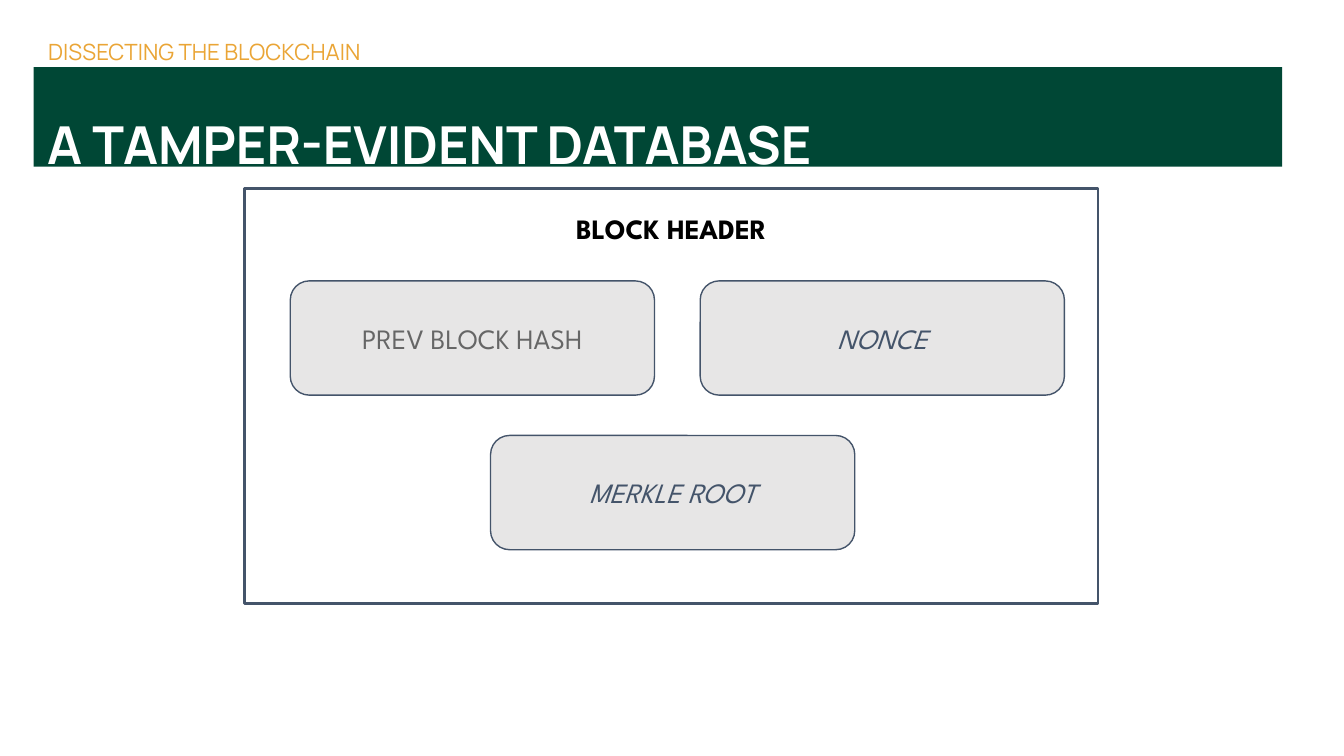
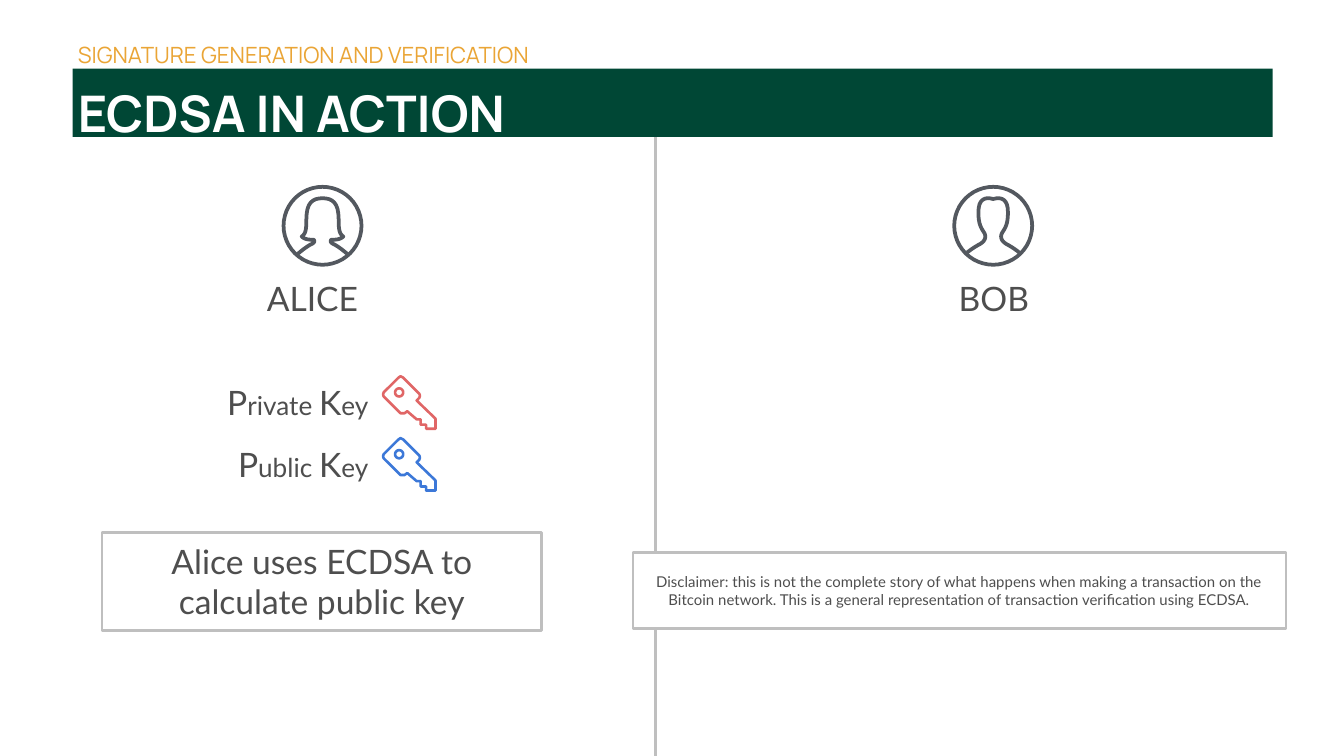
import math

import pptx
import pptx.dml.color
import pptx.enum.shapes
import pptx.enum.text
import pptx.oxml
import pptx.oxml.ns
import pptx.util

Inches = pptx.util.Inches
Pt = pptx.util.Pt
RGB = pptx.dml.color.RGBColor.from_string
SHAPE = pptx.enum.shapes.MSO_SHAPE
ANCHOR = pptx.enum.text.MSO_ANCHOR
ALIGN = pptx.enum.text.PP_ALIGN

THEME = {
    "green": "004735", "gold": "EAA536", "white": "FFFFFF", "black": "000000",
    "slate": "44546A", "panel": "E7E6E6", "muted": "666666", "text": "4E4E4E",
    "rule": "BFBFBF", "avatar": "53585F", "private": "E06666", "public": "3C78D8",
    "head": "Manrope", "block": "League Spartan", "body": "Lato",
    "eyebrow_size": 12, "block_size": 15, "large": 18, "medium": 14, "small": 8,
}


def write(sp, runs, font, color, align=ALIGN.LEFT, anchor=ANCHOR.TOP,
          inset=(0.1, 0.1), spacing=None, bold=False, italic=False):
    tf = sp.text_frame
    tf.word_wrap = True
    tf.auto_size = pptx.enum.text.MSO_AUTO_SIZE.NONE
    tf.vertical_anchor = anchor
    tf.margin_left = tf.margin_right = Inches(inset[0])
    tf.margin_top = tf.margin_bottom = Inches(inset[1])
    p = tf.paragraphs[0]
    p.alignment = align
    p.space_before = Pt(0)
    if spacing:
        p.line_spacing = spacing
    for text, size in runs:
        r = p.add_run()
        r.text = text
        r.font.name = font
        r.font.size = Pt(size)
        r.font.bold = bold
        r.font.italic = italic
        r.font.color.rgb = RGB(THEME[color])


def draw(sp, fill=None, line=None, width=1.5):
    sp.shadow.inherit = False
    if fill:
        sp.fill.solid()
        sp.fill.fore_color.rgb = RGB(THEME[fill])
    else:
        sp.fill.background()
    if line:
        sp.line.color.rgb = RGB(THEME[line])
        sp.line.width = Pt(width)
    else:
        sp.line.fill.background()


prs = pptx.Presentation()
prs.slide_width = Inches(10)
prs.slide_height = prs.slide_width * 9 // 16

headings = [
    {"title": "A TAMPER-EVIDENT DATABASE", "size": 28, "band": (0.25, 0.5, 9.29, 0.74),
     "spacing": 1.5, "eyebrow": "DISSECTING THE BLOCKCHAIN", "at": (0.26, 0.21, 9.29, 0.43),
     "eyebrow_spacing": 0.9, "inset": (0.1, 0.1), "anchor": ANCHOR.TOP},
    {"title": "ECDSA IN ACTION", "size": 27, "band": (0.54, 0.51, 8.93, 0.51),
     "spacing": 1.31, "eyebrow": "SIGNATURE GENERATION AND VERIFICATION",
     "at": (0.54, 0.2, 4.9, 0.41), "eyebrow_spacing": None, "inset": (0.04, 0.02),
     "anchor": ANCHOR.MIDDLE},
]
slides = []
for h in headings:
    s = prs.slides.add_slide(prs.slide_layouts[5])
    slides.append(s)
    sp = s.shapes.title
    sp.left, sp.top, sp.width, sp.height = map(Inches, h["band"])
    sp.fill.solid()
    sp.fill.fore_color.rgb = RGB(THEME["green"])
    write(sp, [(h["title"], h["size"])], THEME["head"], "white", anchor=h["anchor"],
          inset=h["inset"], spacing=h["spacing"], bold=True)
    sp = s.shapes.add_textbox(*map(Inches, h["at"]))
    write(sp, [(h["eyebrow"], THEME["eyebrow_size"])], THEME["head"], "gold",
          anchor=h["anchor"], inset=h["inset"], spacing=h["eyebrow_spacing"])

s = slides[0]
sp = s.shapes.add_shape(SHAPE.RECTANGLE, Inches(1.82), Inches(1.4), Inches(6.35), Inches(3.09))
draw(sp, line="slate")
write(sp, [("BLOCK HEADER", THEME["block_size"])], THEME["block"], "black", ALIGN.CENTER,
      inset=(0.04, 0.17), bold=True)

for text, left, top, color, italic in [
    ("PREV BLOCK HASH", 2.16, 2.09, "muted", False),
    ("NONCE", 5.21, 2.09, "slate", True),
    ("MERKLE ROOT", 3.65, 3.24, "slate", True),
]:
    sp = s.shapes.add_shape(SHAPE.ROUNDED_RECTANGLE, Inches(left), Inches(top),
                            Inches(2.71), Inches(0.85))
    draw(sp, "panel", "slate", 0.75)
    write(sp, [(text, THEME["block_size"])], THEME["block"], color, ALIGN.CENTER,
          ANCHOR.MIDDLE, (0.04, 0.04), italic=italic)

s = slides[1]
cx = s.shapes.add_connector(pptx.enum.shapes.MSO_CONNECTOR.STRAIGHT,
                            Inches(4.88), Inches(0.83), Inches(4.88), Inches(5.66))
cx.line.color.rgb = RGB(THEME["rule"])
cx.line.width = Pt(1.5)
cx._element.spPr.append(pptx.oxml.parse_xml(
    "<a:effectLst %s/>" % pptx.oxml.ns.nsdecls("a")))
tree = s.shapes._spTree
tree.remove(cx._element)
tree.insert(2, cx._element)

circle = [(math.cos(math.tau * i / 48), math.sin(math.tau * i / 48)) for i in range(48)]
alice = [(-18.5, 21), (-14.5, 17.5), (-11.5, 15.5), (-9, 14), (-6.5, 13), (-5.5, 12),
         (-6.5, 10.3), (-10.5, 10.5), (-13.5, 10), (-15.5, 8), (-12.5, 6), (-12, 3),
         (-12, -5), (-12, -17), (-7.5, -20.5), (0, -20.5)]
bob = [(-19.5, 20), (-16.5, 17.5), (-14, 16), (-11.5, 14.5), (-6, 12), (-5, 8.5),
       (-6.5, 5.5), (-9, 1.5), (-11, -1), (-11, -10), (-11, -20), (-6, -20.5),
       (-3.5, -20.5), (-2, -20.5), (-1, -20), (0, -20)]
key = [(40, 40), (33, 40), (33, 37), (29, 37), (29, 33), (26, 33), (19, 27), (17, 28.5),
       (14, 28.5), (1.5, 16), (1, 14.5), (1.5, 13), (12.5, 2), (14, 1), (16, 2), (28, 14),
       (28.5, 15.5), (28, 17), (26, 19), (40, 32.5)]

icons = []
for curve, left in [(alice, 2.4), (bob, 7.39)]:
    half = []
    for i in range(0, len(curve) - 1, 3):
        for t in [n / 8 for n in range(8)]:
            weights = [(1 - t) ** 3, 3 * t * (1 - t) ** 2, 3 * t * t * (1 - t), t ** 3]
            half.append(tuple(sum(w * q[k] for w, q in zip(weights, curve[i:i + 4]))
                              for k in (0, 1)))
    profile = half + [curve[-1]] + [(-x, y) for x, y in reversed(half)]
    ring = [(29 * x, 29 * y) for x, y in circle]
    icons.append((left, 1.68, [(ring, True), (profile, False)], "avatar", 2))
hole = [(13 + 3 * x, 13 + 3 * y) for x, y in circle]
for top, color in [(2.79, "private"), (3.25, "public")]:
    icons.append((2.84, top, [(key, True), (hole, True)], color, 1.4))

for left, top, contours, color, width in icons:
    fb = None
    for points, closed in contours:
        points = [(Inches(left + x / 100), Inches(top + y / 100)) for x, y in points]
        if fb is None:
            fb = s.shapes.build_freeform(*points[0])
        else:
            fb.move_to(*points[0])
        fb.add_line_segments(points[1:], close=closed)
    draw(fb.convert_to_shape(), line=color, width=width)

large, medium = THEME["large"], THEME["medium"]
for runs, at, align in [
    ([("ALICE", large)], (1.8, 1.97, 1.05, 0.51), ALIGN.CENTER),
    ([("BOB", large)], (6.94, 1.97, 0.91, 0.51), ALIGN.CENTER),
    ([("P", large), ("rivate ", medium), ("K", large), ("ey", medium)],
     (1.54, 2.74, 1.3, 0.51), ALIGN.RIGHT),
    ([("P", large), ("ublic ", medium), ("K", large), ("ey", medium)],
     (1.54, 3.2, 1.3, 0.51), ALIGN.RIGHT),
]:
    sp = s.shapes.add_textbox(*map(Inches, at))
    write(sp, runs, THEME["body"], "text", align)

for text, size, at in [
    ("Alice uses ECDSA to calculate public key", large, (0.76, 3.96, 3.27, 0.73)),
    ("Disclaimer: this is not the complete story of what happens when making a transaction "
     "on the Bitcoin network. This is a general representation of transaction verification "
     "using ECDSA.", THEME["small"], (4.71, 4.11, 4.86, 0.57)),
]:
    sp = s.shapes.add_shape(SHAPE.RECTANGLE, *map(Inches, at))
    draw(sp, "white", "rule")
    write(sp, [(text, size)], THEME["body"], "text", ALIGN.CENTER, ANCHOR.MIDDLE)

prs.save("out.pptx")
